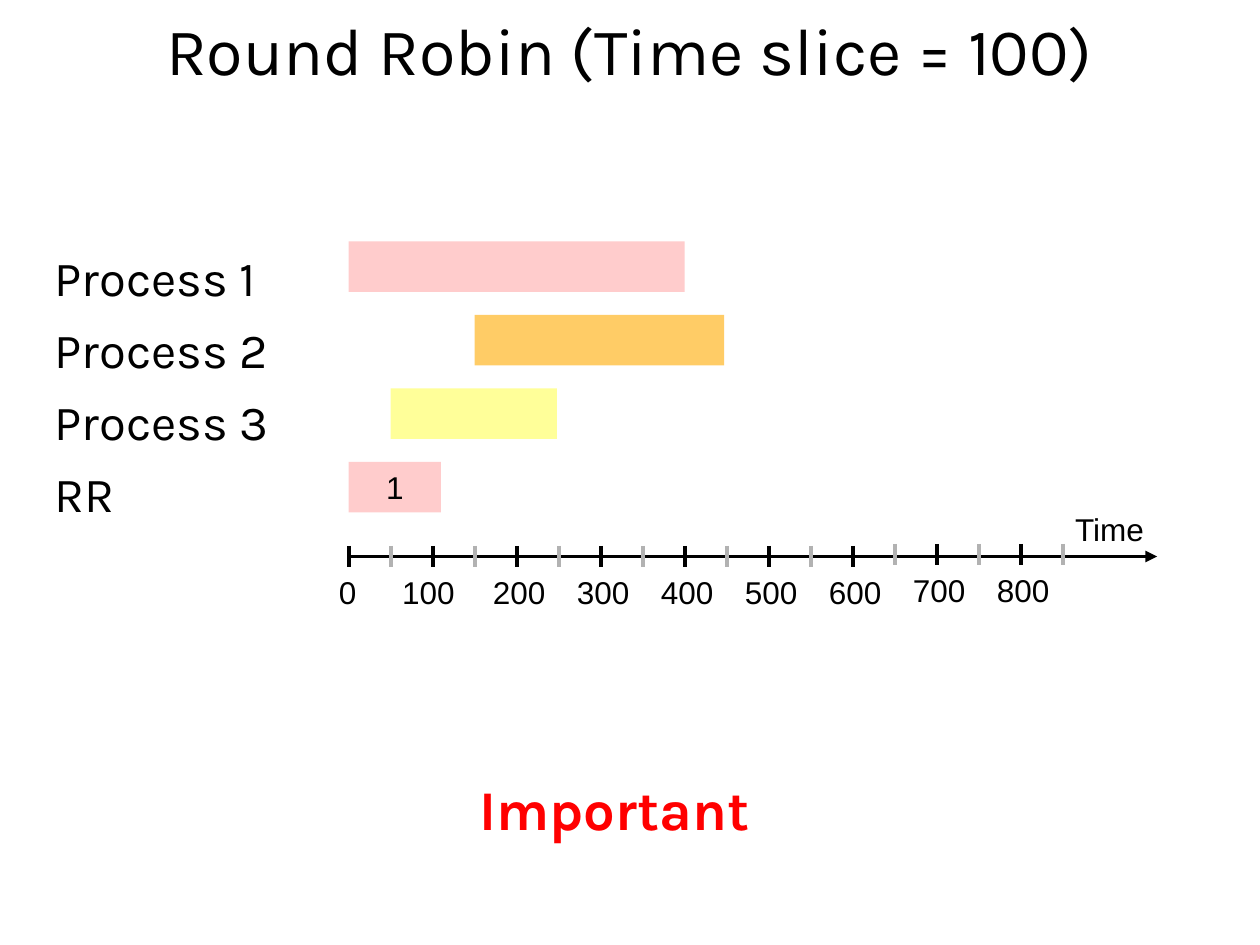
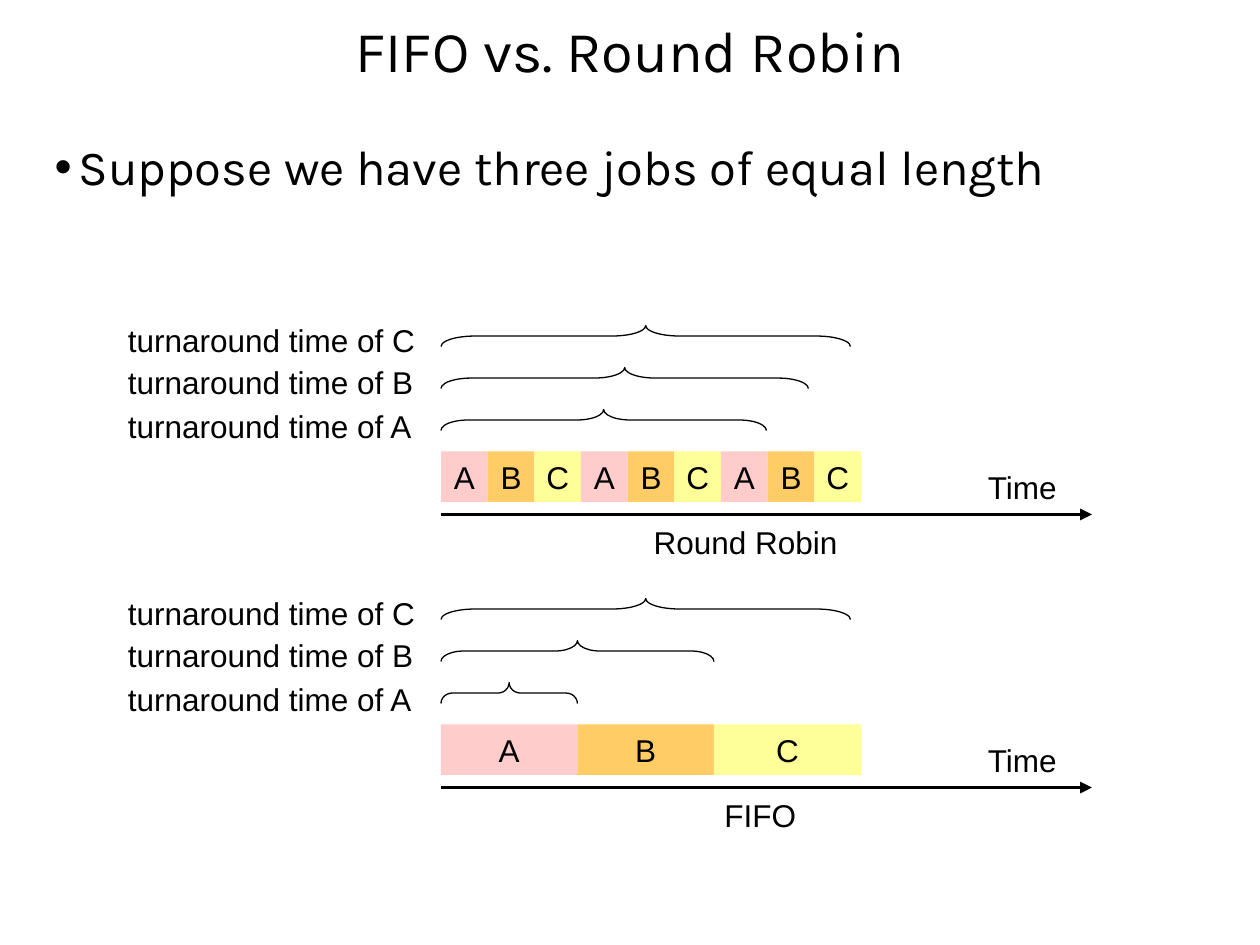
from lxml import etree
from pptx import Presentation
from pptx.dml.color import RGBColor
from pptx.enum.shapes import MSO_CONNECTOR, MSO_SHAPE
from pptx.enum.text import MSO_ANCHOR, MSO_AUTO_SIZE, PP_ALIGN
from pptx.oxml.ns import qn
from pptx.util import Inches, Pt

COLORS = {
    "text": "000000",
    "minor_tick": "B2B2B2",
    "alert": "FF0000",
    "pink": "FFCCCC",
    "orange": "FFCC66",
    "yellow": "FFFF99",
}
JOB_COLORS = {"A": "pink", "B": "orange", "C": "yellow"}
HEADING_FONT, LABEL_FONT = "Karla", "Arial"

RECTANGLE, BRACE = MSO_SHAPE.RECTANGLE, MSO_SHAPE.RIGHT_BRACE
STRAIGHT = MSO_CONNECTOR.STRAIGHT
LEFT, CENTER = PP_ALIGN.LEFT, PP_ALIGN.CENTER
TOP, MIDDLE = MSO_ANCHOR.TOP, MSO_ANCHOR.MIDDLE
NO_AUTOFIT = MSO_AUTO_SIZE.NONE

SLIDE_WIDTH, SLIDE_HEIGHT = Inches(10), Inches(7.5)
COLUMN, ROW = SLIDE_WIDTH / 120, SLIDE_HEIGHT / 90
BAR_HEIGHT = 4.8
TIME_ORIGIN, TIME_PER_COLUMN = 33.2, 12.5
JOB_ORIGIN, JOB_SPAN = 42, 40


def grid(left, top, width, height):
    return (round(left * COLUMN), round(top * ROW),
            round(width * COLUMN), round(height * ROW))


def color(name):
    return RGBColor.from_string(COLORS[name])


def set_bullet(paragraph, bullet):
    properties = paragraph._p.get_or_add_pPr()
    properties.set("marL", str(Inches(0.19)))
    properties.set("indent", str(-Inches(0.19)))
    if not bullet:
        etree.SubElement(properties, qn("a:buNone"))
        return
    bullet_color = etree.SubElement(properties, qn("a:buClr"))
    etree.SubElement(bullet_color, qn("a:srgbClr"), val=COLORS["text"])
    etree.SubElement(properties, qn("a:buFont"), typeface=LABEL_FONT)
    etree.SubElement(properties, qn("a:buChar"), char=bullet)


def write_text(frame, text, size=18, font=LABEL_FONT, fill="text", bold=False,
               align=LEFT, anchor=TOP, wrap=False, line_spacing=1.0,
               space_before=0, bullet=None):
    frame.auto_size = NO_AUTOFIT
    frame.word_wrap = wrap
    frame.vertical_anchor = anchor
    for index, line in enumerate(text.split("\n")):
        paragraph = frame.add_paragraph() if index else frame.paragraphs[0]
        if bullet is not None:
            set_bullet(paragraph, bullet)
        paragraph.alignment = align
        paragraph.line_spacing = line_spacing
        paragraph.space_before = Pt(space_before if index else 0)
        run = paragraph.add_run()
        run.text = line
        run.font.size, run.font.name, run.font.bold = Pt(size), font, bold
        run.font.color.rgb = color(fill)


def place(shape, left, top, width, height):
    shape.left, shape.top, shape.width, shape.height = grid(left, top, width, height)


def add_slide(presentation, title, title_size, body, body_top, **body_format):
    slide = presentation.slides.add_slide(presentation.slide_layouts[1])
    place(slide.shapes.title, 4, 0, 112, 10.2)
    write_text(slide.shapes.title.text_frame, title, size=title_size, font=HEADING_FONT,
               align=CENTER, anchor=MIDDLE, wrap=True, line_spacing=0.9)
    placeholder = slide.placeholders[1]
    place(placeholder, 4, body_top, 112, 81 - body_top)
    write_text(placeholder.text_frame, body, size=28, font=HEADING_FONT,
               wrap=True, space_before=7.5, **body_format)
    return slide


def add_label(slide, text, left, top, width, height=BAR_HEIGHT, **text_format):
    box = slide.shapes.add_textbox(*grid(left, top, width, height))
    write_text(box.text_frame, text, **text_format)


def add_bar(slide, left, top, width, fill, text=None):
    bar = slide.shapes.add_shape(RECTANGLE, *grid(left, top, width, BAR_HEIGHT))
    bar.shadow.inherit = False
    bar.fill.solid()
    bar.fill.fore_color.rgb = color(fill)
    bar.line.fill.background()
    if text:
        write_text(bar.text_frame, text, align=CENTER, anchor=MIDDLE)


def add_line(slide, start, end, fill="text", arrow=False):
    (left, top), (right, bottom) = start, end
    x, y, width, height = grid(left, top, right - left, bottom - top)
    line = slide.shapes.add_connector(STRAIGHT, x, y, x + width, y + height)
    line.line.color.rgb = color(fill)
    line.line.width = Pt(2.25)
    if arrow:
        etree.SubElement(line.line._get_or_add_ln(), qn("a:tailEnd"), type="triangle")
    etree.SubElement(line._element.spPr, qn("a:effectLst"))


def add_brace(slide, left, top, length):
    depth = 2
    brace = slide.shapes.add_shape(BRACE, *grid(
        left + (length - depth) / 2, top + (depth - length) / 2, depth, length))
    brace.rotation = 270
    brace.adjustments[0] = length / 12 / depth
    brace.shadow.inherit = False
    brace.fill.background()
    brace.line.color.rgb = color("text")
    brace.line.width = Pt(0.75)


def add_time_axis(slide, axis_row):
    add_line(slide, (TIME_ORIGIN, axis_row), (110.2, axis_row), arrow=True)
    add_label(slide, "Time", 101.2, axis_row - 5, 9)
    label_shifts = {0: -0.1, 100: -0.4}
    for time in range(0, 851, 50):
        column = TIME_ORIGIN + time / TIME_PER_COLUMN
        tick_top = axis_row - (1.2 if time >= 650 else 1)
        major = time % 100 == 0
        add_line(slide, (column, tick_top), (column, tick_top + 2),
                 "text" if major else "minor_tick")
        if major:
            center = column + label_shifts.get(time, 0.25)
            add_label(slide, str(time), center - 3.65, tick_top + 2, 7.3, align=CENTER)


def add_schedule(slide, top, name, name_center, jobs, turnarounds):
    left = JOB_ORIGIN
    for job, width in jobs:
        add_bar(slide, left, top, width, JOB_COLORS[job], job)
        left += width
    add_line(slide, (JOB_ORIGIN, top + 6), (104, top + 6), arrow=True)
    add_label(slide, "Time", 92.9, top + 1, 9)
    add_label(slide, name, name_center - 10, top + 6.2, 20, align=CENTER)
    label_offsets = {"A": 4.8, "B": 9, "C": 13}
    for index, (job, length) in enumerate(turnarounds.items()):
        add_label(slide, f"turnaround time of {job}", 11, top - label_offsets[job], 29.6)
        add_brace(slide, JOB_ORIGIN, top - 4 - 4 * index, length)


def add_round_robin_slide(presentation):
    slide = add_slide(presentation, "Round Robin (Time slice = 100)", 38,
                      "Process 1\nProcess 2\nProcess 3\nRR", 23, bullet="")
    bars = [(0, 400, "pink", None), (150, 297, "orange", None),
            (50, 198, "yellow", None), (0, 110, "pink", "1")]
    for index, (start, duration, fill, text) in enumerate(bars):
        add_bar(slide, TIME_ORIGIN + start / TIME_PER_COLUMN, 23 + 7 * index,
                duration / TIME_PER_COLUMN, fill, text)
    add_time_axis(slide, 53)
    add_label(slide, "Important", 44.5, 73.2, 31, 7.7, size=32,
              font=HEADING_FONT, fill="alert", bold=True, wrap=True)


def add_comparison_slide(presentation):
    slide = add_slide(presentation, "FIFO vs. Round Robin", 33,
                      "Suppose we have three jobs of equal length", 13,
                      bullet="•", line_spacing=0.9)
    slices = [(job, JOB_SPAN / 9) for job in "ABC" * 3]
    add_schedule(slide, 43, "Round Robin", 71, slices, {"A": 31, "B": 35, "C": 39})
    add_schedule(slide, 69, "FIFO", 72.4, [("A", 13), ("B", 13), ("C", 14)],
                 {"A": 13, "B": 26, "C": 39})


def main():
    presentation = Presentation()
    presentation.slide_width, presentation.slide_height = SLIDE_WIDTH, SLIDE_HEIGHT
    add_round_robin_slide(presentation)
    add_comparison_slide(presentation)
    presentation.save("out.pptx")


if __name__ == "__main__":
    main()
